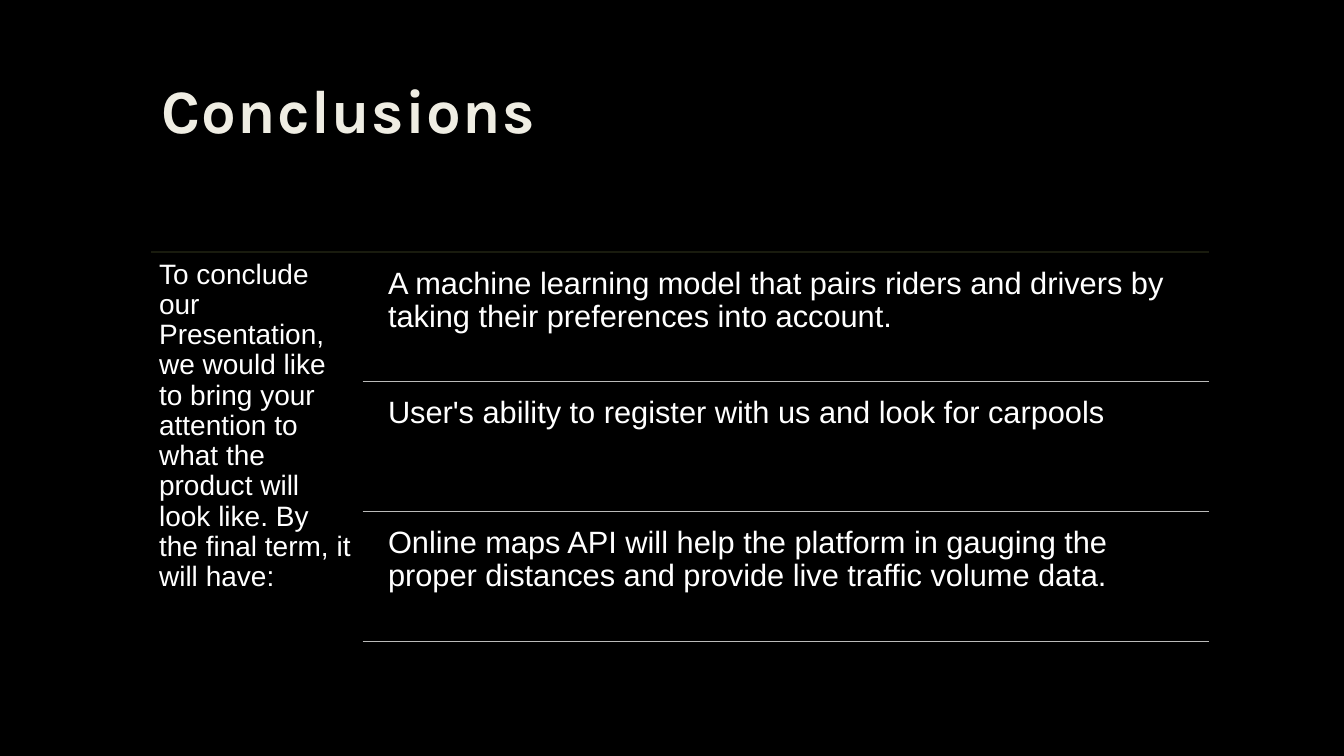
from dataclasses import dataclass

from lxml import etree
from pptx import Presentation
from pptx.dml.color import RGBColor
from pptx.enum import shapes, text
from pptx.oxml import ns
from pptx.util import Cm, Pt

TITLE = "Conclusions"
INTRO = (
    "To conclude our Presentation, we would like to bring your attention to "
    "what the product will look like. By the final term, it will have:"
)
FEATURES = [
    "A machine learning model that pairs riders and drivers by taking their "
    "preferences into account.",
    "User's ability to register with us and look for carpools",
    "Online maps API will help the platform in gauging the proper distances "
    "and provide live traffic volume data.",
]


@dataclass(frozen=True)
class Theme:
    background: str = "000000"
    title: str = "EFEDE3"
    body: str = "FFFFFF"
    top_rule: str = "191B0E"
    row_rule: str = "BBBBBA"
    title_font: str = "Karla"
    body_font: str = "Arial"
    title_size: int = 44
    intro_size: int = 20
    feature_size: int = 22
    rule_width: float = 0.75


THEME = Theme()

# Layout in centimetres
LEFT, RIGHT = 3.81, 30.48
TITLE_TOP, TITLE_HEIGHT = 1.9, 4.11
LIST_TOP, ROW_PITCH = 6.35, 3.27
INTRO_WIDTH, INTRO_HEIGHT = 5.33, 9.96
ROW_LEFT = LEFT + INTRO_WIDTH
FEATURE_LEFT, FEATURE_DROP, FEATURE_HEIGHT = 9.55, 0.16, 3.1


def add_text(slide, box, words, font_name, size, color, inset, bold=False):
    shape = slide.shapes.add_textbox(*(Cm(length) for length in box))
    frame = shape.text_frame
    frame.word_wrap = True
    frame.vertical_anchor = text.MSO_ANCHOR.TOP
    frame.margin_left = frame.margin_right = Cm(inset[0])
    frame.margin_top = frame.margin_bottom = Cm(inset[1])
    paragraph = frame.paragraphs[0]
    paragraph.line_spacing = 0.9
    run = paragraph.add_run()
    run.text = words
    run.font.name = font_name
    run.font.size = Pt(size)
    run.font.bold = bold
    run.font.color.rgb = RGBColor.from_string(color)
    return run


def add_rule(slide, left, top, color):
    """Draw a horizontal line from left to the right margin."""
    rule = slide.shapes.add_connector(
        shapes.MSO_CONNECTOR.STRAIGHT, Cm(left), Cm(top), Cm(RIGHT), Cm(top)
    )
    rule.line.color.rgb = RGBColor.from_string(color)
    rule.line.width = Pt(THEME.rule_width)
    etree.SubElement(rule._element.spPr, ns.qn("a:effectLst"))


def main():
    presentation = Presentation()
    presentation.slide_width, presentation.slide_height = Cm(33.87), Cm(19.05)
    slide = presentation.slides.add_slide(presentation.slide_layouts[6])
    fill = slide.background.fill
    fill.solid()
    fill.fore_color.rgb = RGBColor.from_string(THEME.background)

    title = add_text(
        slide, (LEFT, TITLE_TOP, RIGHT - LEFT, TITLE_HEIGHT), TITLE,
        THEME.title_font, THEME.title_size, THEME.title, (0.25, 0.13), bold=True,
    )
    title.font._element.set("spc", "100")  # letter spacing of 1 pt

    add_rule(slide, LEFT, LIST_TOP, THEME.top_rule)
    add_text(
        slide, (LEFT, LIST_TOP, INTRO_WIDTH, INTRO_HEIGHT), INTRO,
        THEME.body_font, THEME.intro_size, THEME.body, (0.2, 0.2),
    )
    for row, feature in enumerate(FEATURES):
        row_top = LIST_TOP + row * ROW_PITCH
        add_text(
            slide,
            (FEATURE_LEFT, row_top + FEATURE_DROP, RIGHT - FEATURE_LEFT, FEATURE_HEIGHT),
            feature, THEME.body_font, THEME.feature_size, THEME.body, (0.23, 0.23),
        )
        add_rule(slide, ROW_LEFT, row_top + ROW_PITCH, THEME.row_rule)

    presentation.save("out.pptx")


if __name__ == "__main__":
    main()
